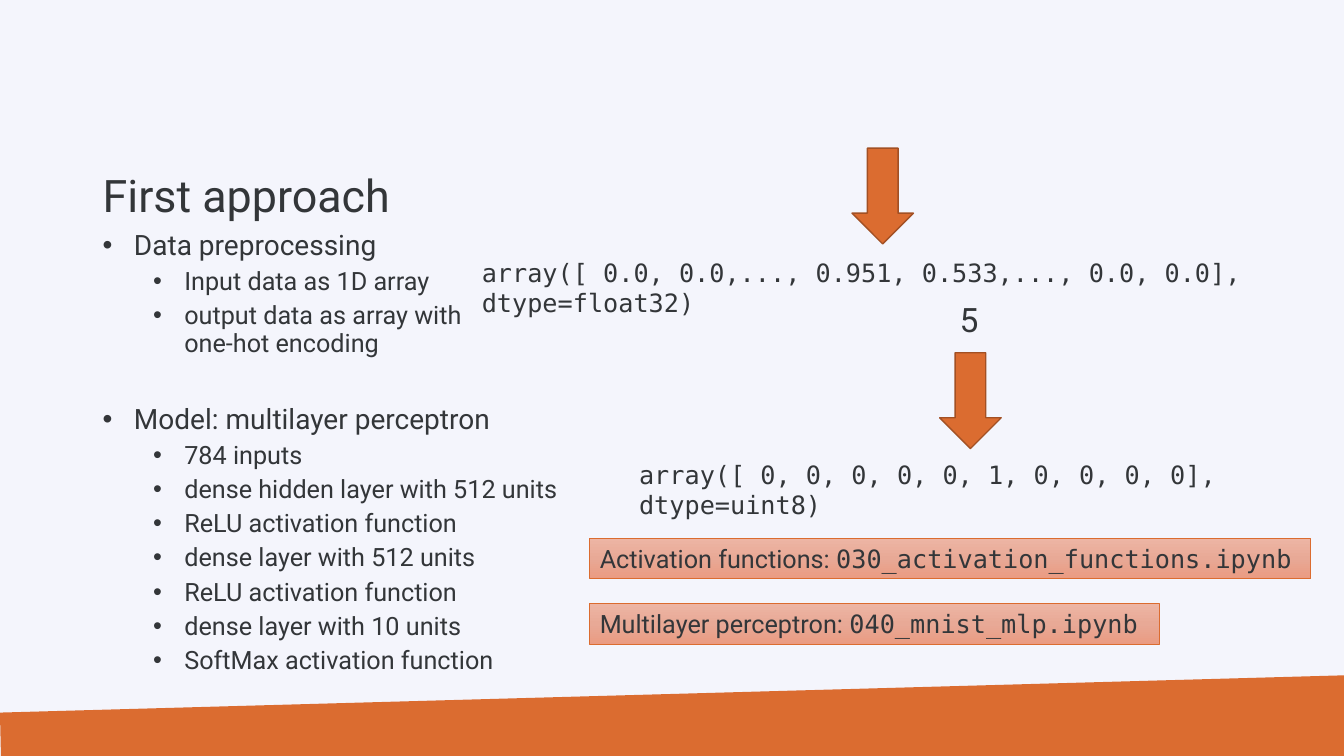
from copy import deepcopy
from dataclasses import dataclass

from pptx import Presentation
from pptx.dml.color import RGBColor
from pptx.enum.shapes import MSO_SHAPE
from pptx.enum.text import MSO_ANCHOR, PP_ALIGN
from pptx.oxml.ns import qn
from pptx.oxml.xmlchemy import OxmlElement
from pptx.shapes.autoshape import Shape
from pptx.slide import Slide
from pptx.text.text import TextFrame
from pptx.util import Inches, Pt

DOWN_ARROW = MSO_SHAPE.DOWN_ARROW
RECTANGLE = MSO_SHAPE.RECTANGLE
TOP = MSO_ANCHOR.TOP
BOTTOM = MSO_ANCHOR.BOTTOM
LEFT = PP_ALIGN.LEFT


@dataclass(frozen=True)
class Theme:
    background: str = "F4F5FC"
    accent: str = "DB6C30"
    arrow_edge: str = "A25024"
    ink: str = "333639"
    gradient: tuple[str, ...] = ("EDB5A4", "E8A996", "EA9B82")
    font: str = "Roboto"
    code_font: str = "DejaVu Sans Mono"
    title_size: int = 32
    digit_size: int = 24
    topic_size: int = 20
    detail_size: int = 18


THEME = Theme()


@dataclass(frozen=True)
class Box:
    left: float
    top: float
    width: float
    height: float

    def lengths(self) -> list[int]:
        return [Inches(n) for n in (self.left, self.top, self.width, self.height)]


@dataclass(frozen=True)
class Topic:
    heading: str
    space_before: float
    details: tuple[str, ...]


@dataclass(frozen=True)
class Label:
    text: str
    box: Box
    size: int = THEME.detail_size
    font: str = THEME.font
    anchor: MSO_ANCHOR = TOP
    line_spacing: float = 1.0


@dataclass(frozen=True)
class Notebook:
    title: str
    file_name: str
    box: Box


TOPICS = (
    Topic("Data preprocessing", 10, (
        "Input data as 1D array",
        "output data as array with\none-hot encoding",
    )),
    Topic("Model: multilayer perceptron", 34, (
        "784 inputs",
        "dense hidden layer with 512 units",
        "ReLU activation function",
        "dense layer with 512 units",
        "ReLU activation function",
        "dense layer with 10 units",
        "SoftMax activation function",
    )),
)
LABELS = (
    Label("First approach", Box(0.92, 0.5, 4.3, 1.75), THEME.title_size,
          anchor=BOTTOM, line_spacing=0.9),
    Label("array([ 0.0, 0.0,..., 0.951, 0.533,..., 0.0, 0.0], dtype=float32)",
          Box(4.68, 2.5, 8.41, 0.4), font=THEME.code_font),
    Label("5", Box(9.42, 2.92, 0.36, 0.5), THEME.digit_size),
    Label("array([ 0, 0, 0, 0, 0, 1, 0, 0, 0, 0], dtype=uint8)",
          Box(6.24, 4.51, 6.77, 0.4), font=THEME.code_font),
)
ARROWS = (Box(8.45, 1.47, 0.61, 0.95), Box(9.32, 3.5, 0.61, 0.95))
NOTEBOOKS = (
    Notebook("Activation functions: ", "030_activation_functions.ipynb",
             Box(5.85, 5.34, 7.15, 0.4)),
    Notebook("Multilayer perceptron: ", "040_mnist_mlp.ipynb",
             Box(5.85, 5.99, 5.65, 0.4)),
)
BODY = Box(0.92, 2.25, 4.82, 4.17)


def color(value: str) -> RGBColor:
    return RGBColor.from_string(value)


def write(frame: TextFrame, text: str, *, size: int = THEME.detail_size,
          font: str = THEME.font, new_para: bool = False, space_before: float = 0,
          line_spacing: float = 1.0, bullet_indent: float | None = None) -> None:
    para = frame.add_paragraph() if new_para else frame.paragraphs[-1]
    para.alignment = LEFT
    para.space_before = Pt(space_before)
    para.line_spacing = line_spacing
    for index, line in enumerate(text.split("\n")):
        if index:
            para.add_line_break()
        span = para.add_run()
        span.text = line
        span.font.size = Pt(size)
        span.font.name = font
        span.font.color.rgb = color(THEME.ink)
    if bullet_indent is not None:
        properties = para._p.get_or_add_pPr()
        properties.set("marL", str(Inches(bullet_indent)))
        properties.set("indent", str(Inches(-0.31)))
        for tag, name, value in (("a:buFont", "typeface", "Arial"),
                                 ("a:buChar", "char", "•")):
            bullet = OxmlElement(tag)
            bullet.set(name, value)
            properties.append(bullet)


def add_text_frame(page: Slide, box: Box, anchor: MSO_ANCHOR = TOP) -> TextFrame:
    frame = page.shapes.add_textbox(*box.lengths()).text_frame
    frame.word_wrap = True
    frame.vertical_anchor = anchor
    return frame


def add_band(page: Slide) -> None:
    builder = page.shapes.build_freeform(Inches(0), Inches(7.07))
    corners = ((13.33, 6.7), (13.33, 7.5), (0.01, 7.5))
    builder.add_line_segments([(Inches(x), Inches(y)) for x, y in corners])
    band = builder.convert_to_shape()
    band.shadow.inherit = False
    band.fill.solid()
    band.fill.fore_color.rgb = color(THEME.accent)
    band.line.fill.background()


def add_label(page: Slide, label: Label) -> None:
    frame = add_text_frame(page, label.box, label.anchor)
    write(frame, label.text, size=label.size, font=label.font,
          line_spacing=label.line_spacing)


def add_topics(page: Slide) -> None:
    frame = add_text_frame(page, BODY)
    for index, topic in enumerate(TOPICS):
        write(frame, topic.heading, size=THEME.topic_size, new_para=index > 0,
              space_before=topic.space_before, line_spacing=0.9, bullet_indent=0.31)
        for detail in topic.details:
            write(frame, detail, new_para=True, space_before=5,
                  line_spacing=0.9, bullet_indent=0.81)


def add_outlined(page: Slide, kind: MSO_SHAPE, box: Box, edge: str,
                 width: float) -> Shape:
    shape = page.shapes.add_shape(kind, *box.lengths())
    shape.shadow.inherit = False
    shape.line.color.rgb = color(edge)
    shape.line.width = Pt(width)
    return shape


def add_arrow(page: Slide, box: Box) -> None:
    arrow = add_outlined(page, DOWN_ARROW, box, THEME.arrow_edge, 1)
    arrow.fill.solid()
    arrow.fill.fore_color.rgb = color(THEME.accent)


def add_notebook(page: Slide, notebook: Notebook) -> None:
    panel = add_outlined(page, RECTANGLE, notebook.box, THEME.accent, 0.5)
    panel.fill.gradient()
    panel.fill.gradient_angle = 270
    stop_list = panel._element.spPr.find(qn("a:gradFill")).find(qn("a:gsLst"))
    stop_list.append(deepcopy(stop_list[-1]))
    for index, stop in enumerate(panel.fill.gradient_stops):
        stop.position = index / 2
        stop.color.rgb = color(THEME.gradient[index])
    frame = panel.text_frame
    frame.word_wrap = True
    frame.vertical_anchor = TOP
    write(frame, notebook.title)
    write(frame, notebook.file_name, font=THEME.code_font)


def main() -> None:
    deck = Presentation()
    deck.slide_width, deck.slide_height = Inches(13.33), Inches(7.5)
    page = deck.slides.add_slide(deck.slide_layouts[6])
    page.background.fill.solid()
    page.background.fill.fore_color.rgb = color(THEME.background)
    add_band(page)
    add_topics(page)
    for label in LABELS:
        add_label(page, label)
    for box in ARROWS:
        add_arrow(page, box)
    for notebook in NOTEBOOKS:
        add_notebook(page, notebook)
    deck.save("out.pptx")


if __name__ == "__main__":
    main()
